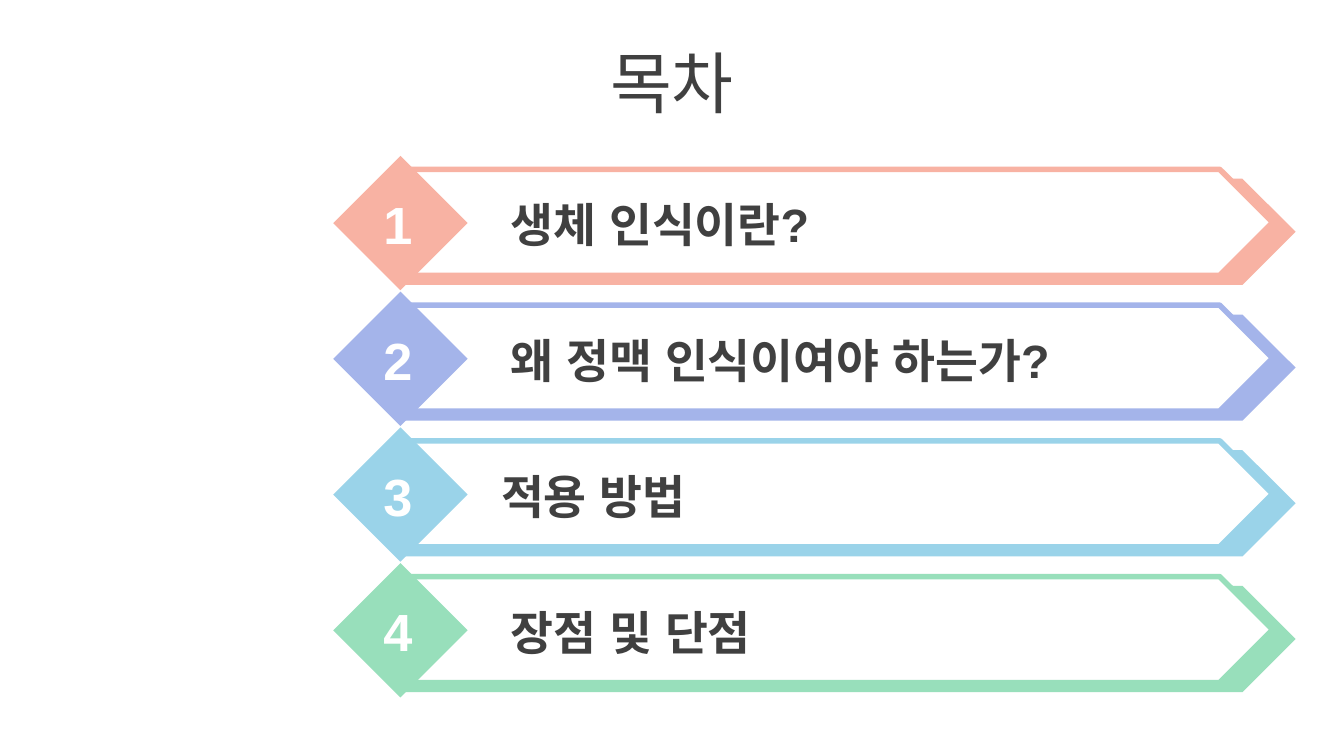
from dataclasses import dataclass
from typing import Optional

from pptx import Presentation
from pptx.dml.color import RGBColor as Rgb
from pptx.enum.lang import MSO_LANGUAGE_ID as Language
from pptx.enum.shapes import MSO_SHAPE as Shape
from pptx.enum.text import MSO_ANCHOR as Anchor, PP_ALIGN as Align
from pptx.util import Inches, Pt


@dataclass(frozen=True)
class Theme:
    font: str = "Arial"
    dark: str = "404040"
    white: str = "FFFFFF"
    title_size: int = 36
    number_size: int = 28
    label_size: int = 25
    outline: int = 3


@dataclass(frozen=True)
class Box:
    left: float
    top: float
    width: float
    height: float

    def lengths(self) -> tuple:
        return tuple(Inches(n) for n in (self.left, self.top, self.width, self.height))


@dataclass(frozen=True)
class Chapter:
    label: str
    color: str
    label_left: float = 3.7


THEME = Theme()
FIRST_TOP = 1.16
ROW_PITCH = 1.01
CHAPTERS = (
    Chapter("생체 인식이란?", "F8B2A3"),
    Chapter("왜 정맥 인식이여야 하는가?", "A4B4EA"),
    Chapter("적용 방법", "9AD3E9", label_left=3.63),
    Chapter("장점 및 단점", "98DFBB"),
)


def add_block(shapes, kind: Shape, box: Box, fill: str, outline: Optional[str] = None) -> None:
    block = shapes.add_shape(kind, *box.lengths())
    block.shadow.inherit = False
    block.fill.solid()
    block.fill.fore_color.rgb = Rgb.from_string(fill)
    if outline:
        block.line.color.rgb = Rgb.from_string(outline)
        block.line.width = Pt(THEME.outline)
    else:
        block.line.fill.background()


def add_text(shapes, box: Box, text: str, size: int, color: str, bold: bool = True,
             align: Align = Align.LEFT, anchor: Anchor = Anchor.TOP) -> None:
    frame = shapes.add_textbox(*box.lengths()).text_frame
    frame.word_wrap = True
    frame.vertical_anchor = anchor
    para = frame.paragraphs[0]
    para.alignment = align
    span = para.add_run()
    span.text = text
    span.font.name = THEME.font
    span.font.size = Pt(size)
    span.font.bold = bold
    span.font.color.rgb = Rgb.from_string(color)
    span.font.language_id = Language.KOREAN


def add_chapter(shapes, number: int, chapter: Chapter) -> None:
    top = FIRST_TOP + (number - 1) * ROW_PITCH
    banner = shapes.add_group_shape().shapes
    add_block(banner, Shape.PENTAGON, Box(3, top + 0.17, 6.64, 0.79), chapter.color)
    add_block(banner, Shape.PENTAGON, Box(3, top + 0.1, 6.47, 0.79), THEME.white, chapter.color)
    add_block(banner, Shape.DIAMOND, Box(2.48, top, 1, 1), chapter.color)
    add_text(shapes, Box(2.74, top + 0.22, 0.44, 0.57), str(number), THEME.number_size,
             THEME.white, align=Align.CENTER, anchor=Anchor.MIDDLE)
    add_text(shapes, Box(chapter.label_left, top + 0.25, 5.2, 0.52), chapter.label,
             THEME.label_size, THEME.dark)


def main() -> None:
    deck = Presentation()
    deck.slide_width = Inches(10)
    deck.slide_height = deck.slide_width * 9 // 16
    page = deck.slides.add_slide(deck.slide_layouts[6])
    add_text(page.shapes, Box(0, 0.29, 10, 0.63), "목차", THEME.title_size, THEME.dark,
             bold=False, align=Align.CENTER, anchor=Anchor.MIDDLE)
    for number, chapter in enumerate(CHAPTERS, start=1):
        add_chapter(page.shapes, number, chapter)
    deck.save("out.pptx")


if __name__ == "__main__":
    main()
